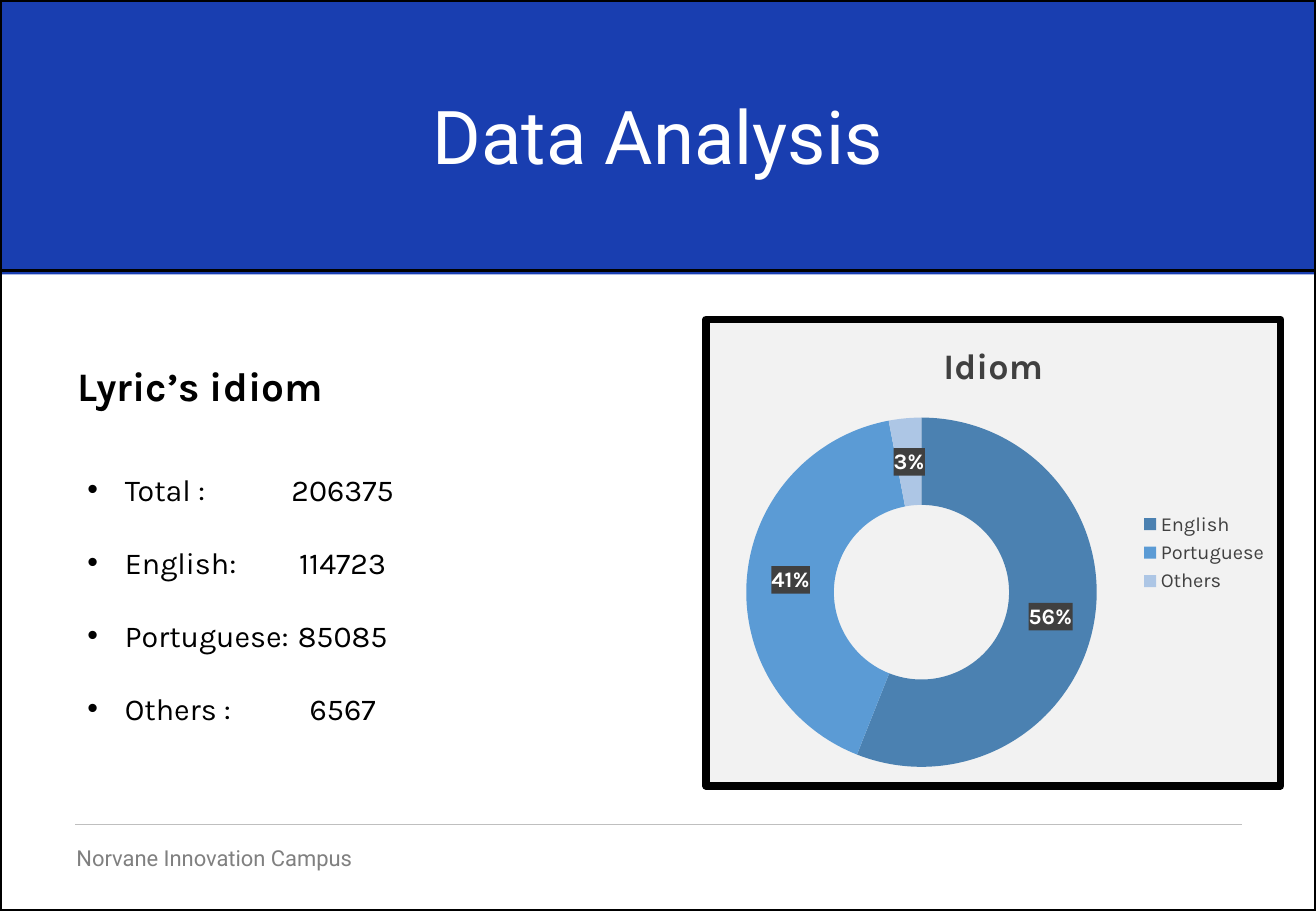
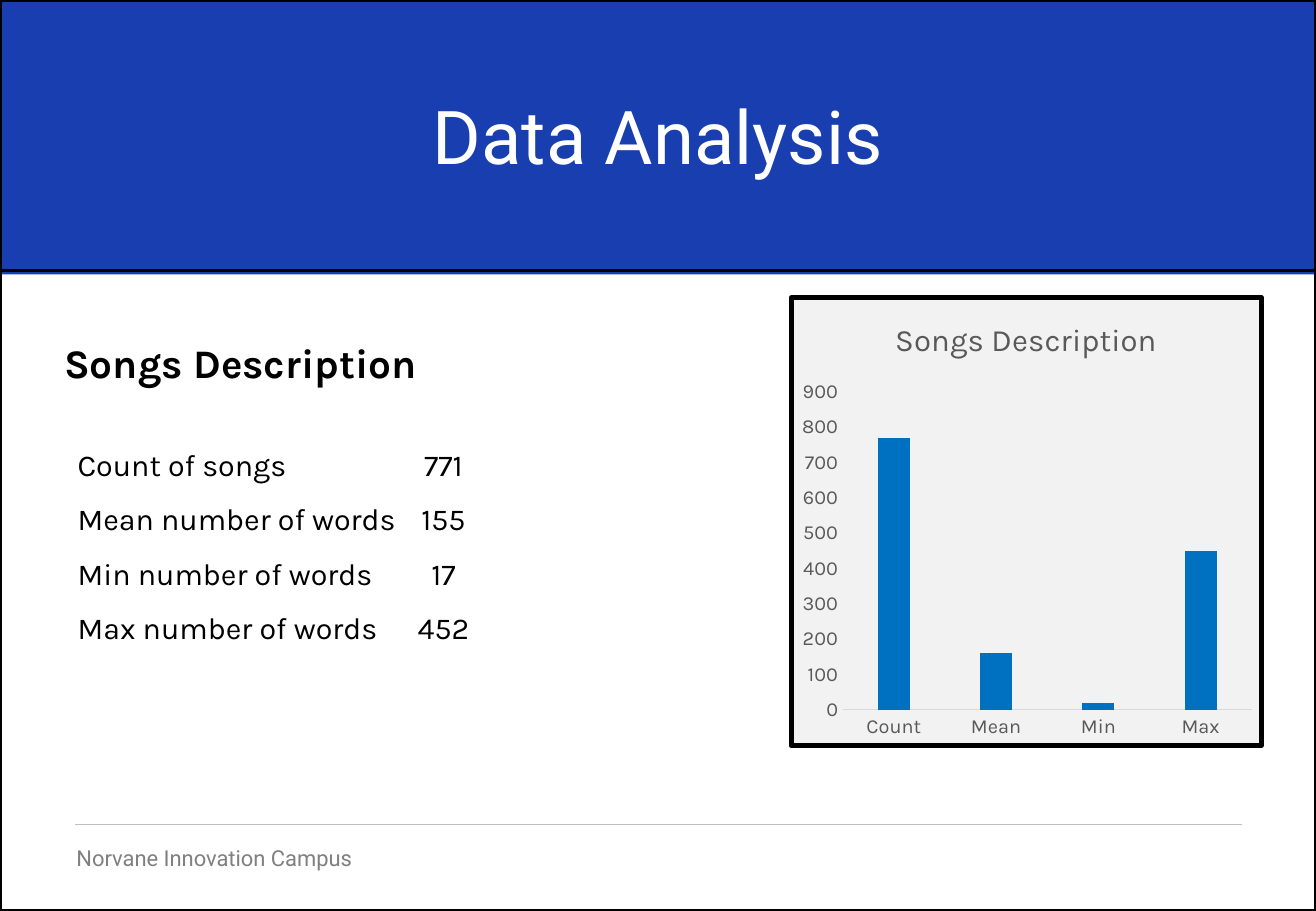
from pptx import Presentation
from pptx.chart.data import CategoryChartData as Data
from pptx.dml.color import RGBColor as Rgb
from pptx.enum.chart import XL_CHART_TYPE as Kind, XL_LEGEND_POSITION as Side, XL_TICK_MARK as Tick
from pptx.enum.shapes import MSO_CONNECTOR as Link, MSO_SHAPE as Form
from pptx.enum.text import MSO_ANCHOR as Anchor, PP_ALIGN as Align
from pptx.oxml import parse_xml
from pptx.oxml.ns import nsdecls, qn
from pptx.util import Inches, Pt

WIDE, HIGH = 10.83, 7.5
BLUE, BLACK, WHITE = "193EB0", "000000", "FFFFFF"
PALE, GREY, DARK = "F2F2F2", "595959", "404040"
BODY, HEAD = "Karla", "Roboto"


def color(code):
    return Rgb.from_string(code)


def style(font, size, code, face=BODY, bold=False):
    font.name, font.size, font.bold = face, Pt(size), bold
    font.color.rgb = color(code)


def bullet(para):
    props = para._p.get_or_add_pPr()
    props.set("marL", str(Inches(0.31)))
    props.set("indent", str(-Inches(0.31)))
    props.append(parse_xml(f'<a:buFont {nsdecls("a")} typeface="Arial"/>'))
    props.append(parse_xml(f'<a:buChar {nsdecls("a")} char="•"/>'))


def write(slide, text, at, size=18, code=BLACK, face=BODY, bold=False,
          align=Align.LEFT, space=1.0, inset=True, dots=False, middle=False):
    frame = slide.shapes.add_textbox(*map(Inches, at)).text_frame
    frame.word_wrap = True
    if not inset:
        frame.margin_left = frame.margin_right = 0
        frame.margin_top = frame.margin_bottom = 0
    if middle:
        frame.vertical_anchor = Anchor.MIDDLE
    frame.text = text
    for para in frame.paragraphs:
        para.alignment, para.line_spacing = align, space
        if dots:
            bullet(para)
        for run in para.runs:
            style(run.font, size, code, face, bold)


def columns(slide, rows, left, right, space, dots=False):
    names, values = ("\n".join(col) for col in zip(*rows))
    write(slide, names, left, space=space, dots=dots)
    write(slide, values, right, space=space, align=Align.CENTER)


def box(slide, at, fill=None, line=None):
    shape = slide.shapes.add_shape(Form.RECTANGLE, *map(Inches, at))
    shape.shadow.inherit = False
    if fill:
        shape.fill.solid()
        shape.fill.fore_color.rgb = color(fill)
    else:
        shape.fill.background()
    if line:
        shape.line.color.rgb, shape.line.width = color(line), Pt(2)
    else:
        shape.line.fill.background()


def rule(slide, left, right, top):
    line = slide.shapes.add_connector(Link.STRAIGHT, *map(Inches, (left, top, right, top)))
    line.line.color.rgb, line.line.width = color("BFBFBF"), Pt(0.75)
    line._element.spPr.append(parse_xml(f'<a:effectLst {nsdecls("a")}/>'))


def base(deck):
    slide = deck.slides.add_slide(deck.slide_layouts[6])
    box(slide, (0, 0, WIDE, 2.26), fill=BLUE)
    rule(slide, 0.62, 10.22, 6.79)
    write(slide, "Norvane Innovation Campus", (0.63, 6.95, 3.16, 0.22),
          size=13, code="808080", face=HEAD, inset=False)
    write(slide, "Data Analysis", (0.54, 0.82, 9.75, 0.67), size=44, code=WHITE,
          face=HEAD, align=Align.CENTER, space=0.9, inset=False, middle=True)
    for height in (HIGH, 2.23):
        box(slide, (0, 0, WIDE, height), line=BLACK)
    return slide


def paint(fill, line=None, width=0):
    edge = ""
    if line:
        edge = (f'<a:ln w="{Pt(width)}"><a:solidFill><a:srgbClr val="{line}"/>'
                '</a:solidFill><a:round/></a:ln>')
    return parse_xml(f'<c:spPr {nsdecls("c", "a")}><a:solidFill><a:srgbClr val="{fill}"/>'
                     f'</a:solidFill>{edge}</c:spPr>')


def place(chart, spot):
    area = chart.element.find(qn("c:chart")).find(qn("c:plotArea"))
    old = area.find(qn("c:layout"))
    if old is not None:
        area.remove(old)
    sizes = "".join(f'<c:{key} val="{val}"/>' for key, val in zip("xywh", spot))
    area.insert(0, parse_xml(
        f'<c:layout {nsdecls("c")}><c:manualLayout><c:layoutTarget val="inner"/>'
        f'<c:xMode val="edge"/><c:yMode val="edge"/>{sizes}</c:manualLayout></c:layout>'))


def graph(slide, kind, cats, vals, at, title, size, code, bold, edge, spot):
    data = Data()
    data.categories = cats
    data.add_series("Series 1", vals)
    chart = slide.shapes.add_chart(kind, *map(Inches, at), data).chart
    style(chart.font, 10, BLACK)
    chart.has_title, chart.has_legend = True, False
    chart.chart_title.include_in_layout = False
    chart.chart_title.text_frame.text = title
    style(chart.chart_title.text_frame.paragraphs[0].runs[0].font, size, code, bold=bold)
    chart.element.find(qn("c:chart")).addnext(paint(PALE, BLACK, edge))
    place(chart, spot)
    return chart


def ring(slide):
    chart = graph(slide, Kind.DOUGHNUT, ("English", "Portuguese", "Others"), (56, 41, 3),
                  (5.78, 2.6, 4.79, 3.9), "Idiom", 21.6, DARK, True, 4.5,
                  (0.07, 0.2, 0.61, 0.77))
    plot = chart.plots[0]
    plot.vary_by_categories = True
    for num, code in enumerate(("4B81B1", "5B9BD5", "ADC6E5")):
        fill = plot.series[0].points[num].format.fill
        fill.solid()
        fill.fore_color.rgb = color(code)
    tags = plot.series[0].data_labels
    tags.show_percentage, tags.show_value = True, False
    tags.number_format, tags.number_format_is_linked = "0%", False
    style(tags.font, 13.3, WHITE, bold=True)
    tags._element.find(qn("c:txPr")).addprevious(paint(DARK))
    chart.has_legend = True
    chart.legend.position = Side.RIGHT
    chart.legend.include_in_layout = False
    style(chart.legend.font, 12, DARK)


def bars(slide):
    chart = graph(slide, Kind.COLUMN_CLUSTERED, ("Count", "Mean", "Min", "Max"),
                  (770, 160, 20, 450), (6.49, 2.43, 3.91, 3.73), "Songs Description",
                  18.6, GREY, False, 3, (0.11, 0.21, 0.87, 0.71))
    plot = chart.plots[0]
    plot.gap_width, plot.vary_by_categories = 219, False
    fill = plot.series[0].format.fill
    fill.solid()
    fill.fore_color.rgb = color("0070C0")
    cat, val = chart.category_axis, chart.value_axis
    for axis in (cat, val):
        axis.major_tick_mark = axis.minor_tick_mark = Tick.NONE
        axis.has_major_gridlines = False
        style(axis.tick_labels.font, 12, GREY)
    cat.format.line.color.rgb, cat.format.line.width = color("D9D9D9"), Pt(0.75)
    val.format.line.fill.background()
    val.minimum_scale, val.maximum_scale, val.major_unit = 0, 900, 100


def main():
    deck = Presentation()
    deck.slide_width, deck.slide_height = Inches(WIDE), Inches(HIGH)

    slide = base(deck)
    write(slide, "Lyric’s idiom", (0.54, 2.52, 4.79, 0.78), size=24, bold=True, space=2.0)
    columns(slide, (("Total :", "206375"), ("English:", "114723"),
                    ("Portuguese:", "85085"), ("Others :", "6567")),
            (0.62, 3.53, 2, 2.43), (2.22, 3.53, 1.2, 2.43), 2.0, dots=True)
    ring(slide)

    slide = base(deck)
    write(slide, "Songs Description", (0.43, 2.73, 3.27, 0.5), size=24, bold=True)
    columns(slide, (("Count of songs", "771"), ("Mean number of words", "155"),
                    ("Min number of words", "17"), ("Max number of words", "452")),
            (0.54, 3.47, 2.95, 1.86), (3.2, 3.47, 0.9, 1.86), 1.5)
    bars(slide)

    deck.save("out.pptx")


if __name__ == "__main__":
    main()
